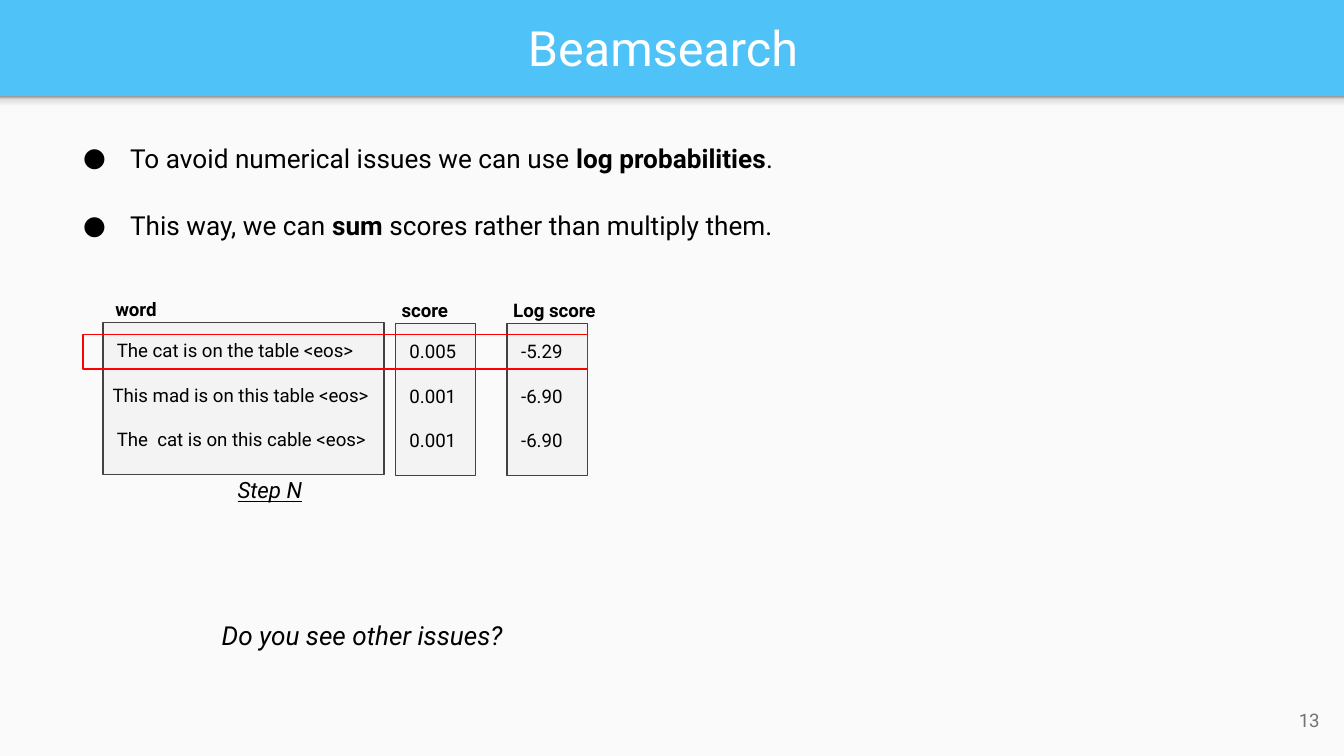
from lxml import etree
from pptx import Presentation, util as u
from pptx.dml import color
from pptx.enum import shapes, text
from pptx.oxml import ns

BLACK = "000000"
COLUMNS = [
    (1.95, 6.1, 5.31, "word", -0.02, [
        ("The cat is on the table <eos>", 0.01),
        ("This mad is on this table <eos>", -0.07),
        ("The  cat is on this cable <eos>", 0.01)]),
    (7.47, 6.12, 1.52, "score", -0.13, [("0.005", 0.02), ("0.001", 0.02), ("0.001", 0.02)]),
    (9.58, 6.12, 1.52, "Log score", -0.13, [("-5.29", 0.02), ("-6.90", 0.02), ("-6.90", 0.02)]),
]
BULLETS = [
    (2.44, [("To avoid numerical issues we can use ", False),
            ("log probabilities", True), (".", False)]),
    (3.71, [("This way, we can ", False), ("sum", True),
            (" scores rather than multiply them.", False)]),
]


def rgb(value):
    """Turn a hex string into a colour."""
    return color.RGBColor.from_string(value)


def lengths(*values):
    """Turn centimetres into lengths."""
    return [u.Cm(value) for value in values]


def add_child(parent, tag, **attributes):
    """Append a drawing element and return it."""
    return etree.SubElement(parent, ns.qn(f"a:{tag}"), attributes)


def add_panel(page, place, fill=None, line=None):
    """Add a rectangle with an optional fill and outline."""
    panel = page.shapes.add_shape(shapes.MSO_SHAPE.RECTANGLE, *lengths(*place))
    panel.shadow.inherit = False
    if fill:
        panel.fill.solid()
        panel.fill.fore_color.rgb = rgb(fill)
    else:
        panel.fill.background()
    if line:
        panel.line.color.rgb = rgb(line)
        panel.line.width = u.Pt(0.75)
    else:
        panel.line.fill.background()
    return panel


def add_header_shade(page):
    """Add the shade that fades downwards below the title bar."""
    shade = add_panel(page, (0, 1.82, 25.4, 0.3))
    shade.fill.gradient()
    shade.fill.gradient_angle = 90
    stops = shade._element.spPr.find(f".//{ns.qn('a:gsLst')}")
    for stop in list(stops):
        stops.remove(stop)
    for percent, value in [(0, "F9F9F9"), (36, "F9F9F9"), (80, "DEDEDE"), (100, "999999")]:
        add_child(add_child(stops, "gs", pos=str(percent * 1000)), "srgbClr", val=value)


def add_bullet(para):
    """Give a paragraph a hanging round bullet."""
    properties = para._p.get_or_add_pPr()
    properties.set("marL", str(u.Cm(1.27)))
    properties.set("indent", str(u.Cm(-0.89)))
    add_child(add_child(properties, "buClr"), "srgbClr", val=BLACK)
    add_child(properties, "buFont", typeface="Roboto")
    add_child(properties, "buChar", char="●")


def add_text(page, place, spans, size=10, ink=BLACK, align="LEFT", anchor="TOP",
             bullet=False, **style):
    """Add a text box with one paragraph of (wording, bold) spans."""
    box = page.shapes.add_textbox(*lengths(*place))
    frame = box.text_frame
    margin = u.Cm(0.25)
    layout = {"word_wrap": True, "vertical_anchor": text.MSO_ANCHOR[anchor],
              "margin_left": margin, "margin_right": margin,
              "margin_top": margin, "margin_bottom": margin}
    for name, value in layout.items():
        setattr(frame, name, value)
    para = frame.paragraphs[0]
    para.alignment = text.PP_ALIGN[align]
    if bullet:
        add_bullet(para)
    for wording, bold in spans:
        span = para.add_run()
        span.text = wording
        span.font.color.rgb = rgb(ink)
        formats = {"name": "Roboto", "size": u.Pt(size), "bold": bold, **style}
        for name, value in formats.items():
            setattr(span.font, name, value)


def add_column(page, left, top, width, heading, shift, entries):
    """Add a panel with its heading above and its entries inside."""
    add_panel(page, (left, top, width, 2.87), "F3F3F3", "424242")
    add_text(page, (left + shift, top - 0.69, 2.34, 0.94), [(heading, True)])
    for row, (entry, offset) in enumerate(entries):
        place = (left + offset, top + 0.1 + 0.84 * row, width + 0.18, 0.94)
        add_text(page, place, [(entry, False)])


def main():
    """Build the slide and save the deck."""
    deck = Presentation()
    deck.slide_width, deck.slide_height = lengths(25.4, 14.29)
    page = deck.slides.add_slide(deck.slide_layouts[6])
    page.background.fill.solid()
    page.background.fill.fore_color.rgb = rgb("4FC3F7")
    add_panel(page, (0, 1.82, 25.4, 12.47), "FAFAFA")
    add_header_shade(page)
    add_text(page, (0.28, 0.05, 24.51, 1.68), [("Beamsearch", False)], 26, "FFFFFF",
             "CENTER", "MIDDLE")
    add_text(page, (23.67, 13.06, 1.52, 1.09), [("13", False)], 10, "737373",
             "RIGHT", "MIDDLE")
    for top, spans in BULLETS:
        add_text(page, (0.94, top, 23.6, 1.12), spans, 14, bullet=True)
    for column in COLUMNS:
        add_column(page, *column)
    add_panel(page, (1.57, 6.32, 9.53, 0.66), line="FF0000")
    add_text(page, (4.24, 8.76, 2.11, 1.02), [("Step N", False)], 12,
             italic=True, underline=True)
    add_text(page, (3.94, 11.46, 6.78, 1.12), [("Do you see other issues?", False)], 14,
             italic=True)
    deck.save("out.pptx")


if __name__ == "__main__":
    main()
